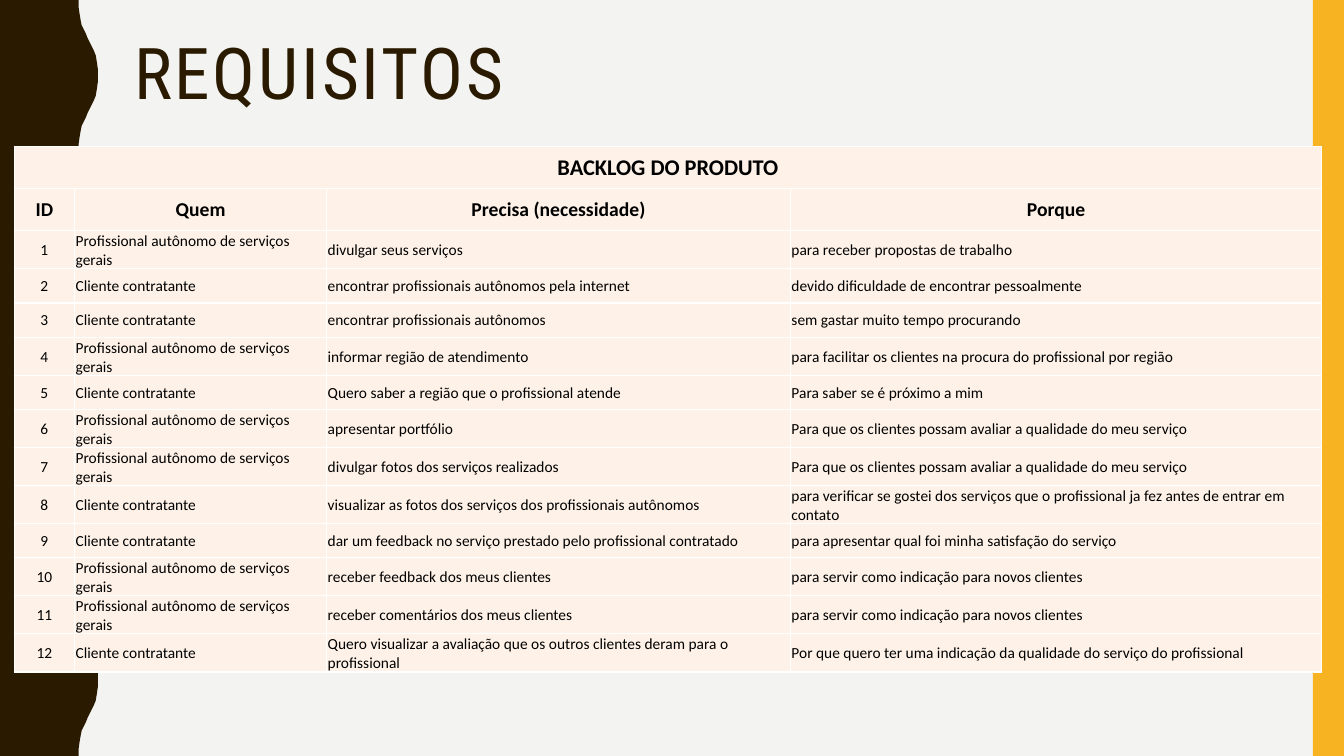
from dataclasses import dataclass

from lxml import etree
from pptx import Presentation
from pptx.dml import color
from pptx.enum import shapes, text
from pptx.oxml import ns
from pptx import util as u


@dataclass(frozen=True)
class Theme:
    back: str = "F3F3F2"
    dark: str = "2A1A00"
    gold: str = "F8B323"
    cell: str = "FEF2E8"
    rule: str = "FFFFFF"
    ink: str = "000000"
    head: str = "Roboto Condensed"
    body: str = "Calibri"
    title: int = 51
    band: int = 16
    label: int = 14
    small: int = 11


THEME = Theme()
PRO = "Profissional autônomo de serviços gerais"
CLIENT = "Cliente contratante"
ASSESS = "Para que os clientes possam avaliar a qualidade do meu serviço"
REFER = "para servir como indicação para novos clientes"
LABELS = ("ID", "Quem", "Precisa (necessidade)", "Porque")
NEEDS = (
    (PRO, "divulgar seus serviços", "para receber propostas de trabalho"),
    (CLIENT, "encontrar profissionais autônomos pela internet",
     "devido dificuldade de encontrar pessoalmente"),
    (CLIENT, "encontrar profissionais autônomos", "sem gastar muito tempo procurando"),
    (PRO, "informar região de atendimento",
     "para facilitar os clientes na procura do profissional por região"),
    (CLIENT, "Quero saber a região que o profissional atende",
     "Para saber se é próximo a mim"),
    (PRO, "apresentar portfólio", ASSESS),
    (PRO, "divulgar fotos dos serviços realizados", ASSESS),
    (CLIENT, "visualizar as fotos dos serviços dos profissionais autônomos",
     "para verificar se gostei dos serviços que o profissional ja fez antes de entrar em contato"),
    (CLIENT, "dar um feedback no serviço prestado pelo profissional contratado",
     "para apresentar qual foi minha satisfação do serviço"),
    (PRO, "receber feedback dos meus clientes", REFER),
    (PRO, "receber comentários dos meus clientes", REFER),
    (CLIENT, "Quero visualizar a avaliação que os outros clientes deram para o profissional",
     "Por que quero ter uma indicação da qualidade do serviço do profissional"),
)
COLS = (0.6, 2.5, 4.6, 5.27)
CURVE = ((0, 0), (0.07, 0), (0.14, 0.01), (0.2, 0.02), (0.25, 0.03), (0.29, 0.05),
         (0.33, 0.07), (0.38, 0.09), (0.42, 0.11), (0.46, 0.13), (0.5, 0.15),
         (0.55, 0.17), (0.61, 0.18), (0.68, 0.19), (0.75, 0.19))


def rgb(code):
    return color.RGBColor.from_string(code)


def assign(item, values):
    for name, value in values.items():
        setattr(item, name, value)


def paint(shape, code):
    shape.shadow.inherit = False
    shape.fill.solid()
    shape.fill.fore_color.rgb = rgb(code)
    shape.line.fill.background()


def write(para, words, code, **font):
    run = para.add_run()
    run.text = words
    assign(run.font, font)
    run.font.color.rgb = rgb(code)
    return run


def add_wave(slide, left, top, width, height):
    period, depth = 1.5, 0.19
    crest = CURVE + tuple((period - y, x) for y, x in CURVE[-2::-1])
    edge = [(left + width - depth + x, top + turn * period + y)
            for turn in range(round(height / period)) for y, x in crest]
    points = [(u.Inches(x), u.Inches(y)) for x, y in edge + [(left, top + height)]]
    path = slide.shapes.build_freeform(u.Inches(left), u.Inches(top))
    path.add_line_segments(points, close=True)
    paint(path.convert_to_shape(), THEME.dark)


def add_stripe(slide, *box):
    kind = shapes.MSO_SHAPE.RECTANGLE
    paint(slide.shapes.add_shape(kind, *map(u.Inches, box)), THEME.gold)


def add_title(slide, *box):
    frame = slide.shapes.add_textbox(*map(u.Inches, box)).text_frame
    assign(frame, {"word_wrap": True, "margin_left": u.Inches(0.46),
                   "vertical_anchor": text.MSO_ANCHOR.TOP})
    para = frame.paragraphs[0]
    para.line_spacing = 0.9
    run = write(para, "REQUISITOS", THEME.dark, name=THEME.head, size=u.Pt(THEME.title))
    run._r.get_or_add_rPr().set("spc", "200")


def add_rules(cell):
    props = cell._tc.get_or_add_tcPr()
    for spot, side in enumerate(("lnL", "lnR", "lnT", "lnB")):
        line = etree.Element(ns.qn("a:" + side), w=str(u.Pt(1)))
        fill = etree.SubElement(line, ns.qn("a:solidFill"))
        etree.SubElement(fill, ns.qn("a:srgbClr"), val=THEME.rule)
        props.insert(spot, line)


def fill_cell(cell, words, size, bold, align):
    inset = u.Inches(0.01)
    assign(cell, {"margin_left": inset, "margin_right": inset, "margin_top": inset,
                  "margin_bottom": 0, "vertical_anchor": text.MSO_ANCHOR.MIDDLE})
    cell.fill.solid()
    cell.fill.fore_color.rgb = rgb(THEME.cell)
    add_rules(cell)
    para = cell.text_frame.paragraphs[0]
    para.alignment = align
    if words:
        write(para, words, THEME.ink, name=THEME.body, size=u.Pt(size), bold=bold)


def add_backlog(slide, *box):
    rows = [("BACKLOG DO PRODUTO", "", "", ""), LABELS]
    rows += [(str(num), *need) for num, need in enumerate(NEEDS, 1)]
    grid = slide.shapes.add_table(len(rows), len(COLS), *map(u.Inches, box)).table
    assign(grid, {"first_row": False, "horz_banding": False})
    for col, width in zip(grid.columns, COLS):
        col.width = u.Inches(width)
    sizes = (THEME.band, THEME.label)
    for r, row in enumerate(rows):
        top = r < len(sizes)
        grid.rows[r].height = u.Inches(0.42 if top else 0.34)
        for c, words in enumerate(row):
            align = text.PP_ALIGN.CENTER if top or c == 0 else text.PP_ALIGN.LEFT
            fill_cell(grid.cell(r, c), words, sizes[r] if top else THEME.small, top, align)
    grid.cell(0, 0).merge(grid.cell(0, len(COLS) - 1))


def build():
    deck = Presentation()
    assign(deck, {"slide_width": u.Inches(13.33), "slide_height": u.Inches(7.5)})
    slide = deck.slides.add_slide(deck.slide_layouts[6])
    slide.background.fill.solid()
    slide.background.fill.fore_color.rgb = rgb(THEME.back)
    add_wave(slide, 0, 0, 0.97, 7.5)
    add_stripe(slide, 13.02, 0, 0.31, 7.5)
    add_title(slide, 0.87, 0.33, 11.5, 1.45)
    add_backlog(slide, 0.14, 1.45, sum(COLS), 5.21)
    deck.save("out.pptx")


build()
